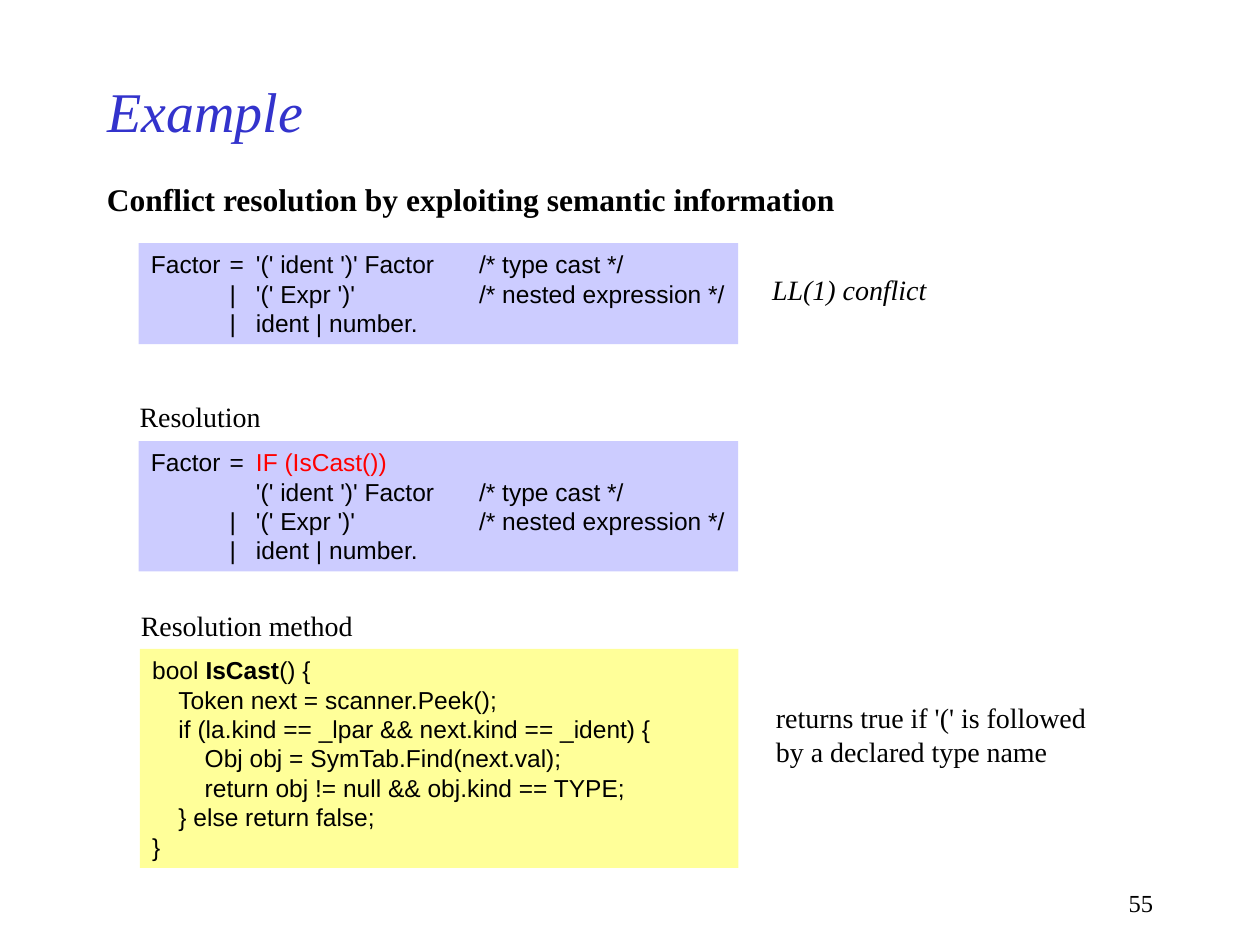
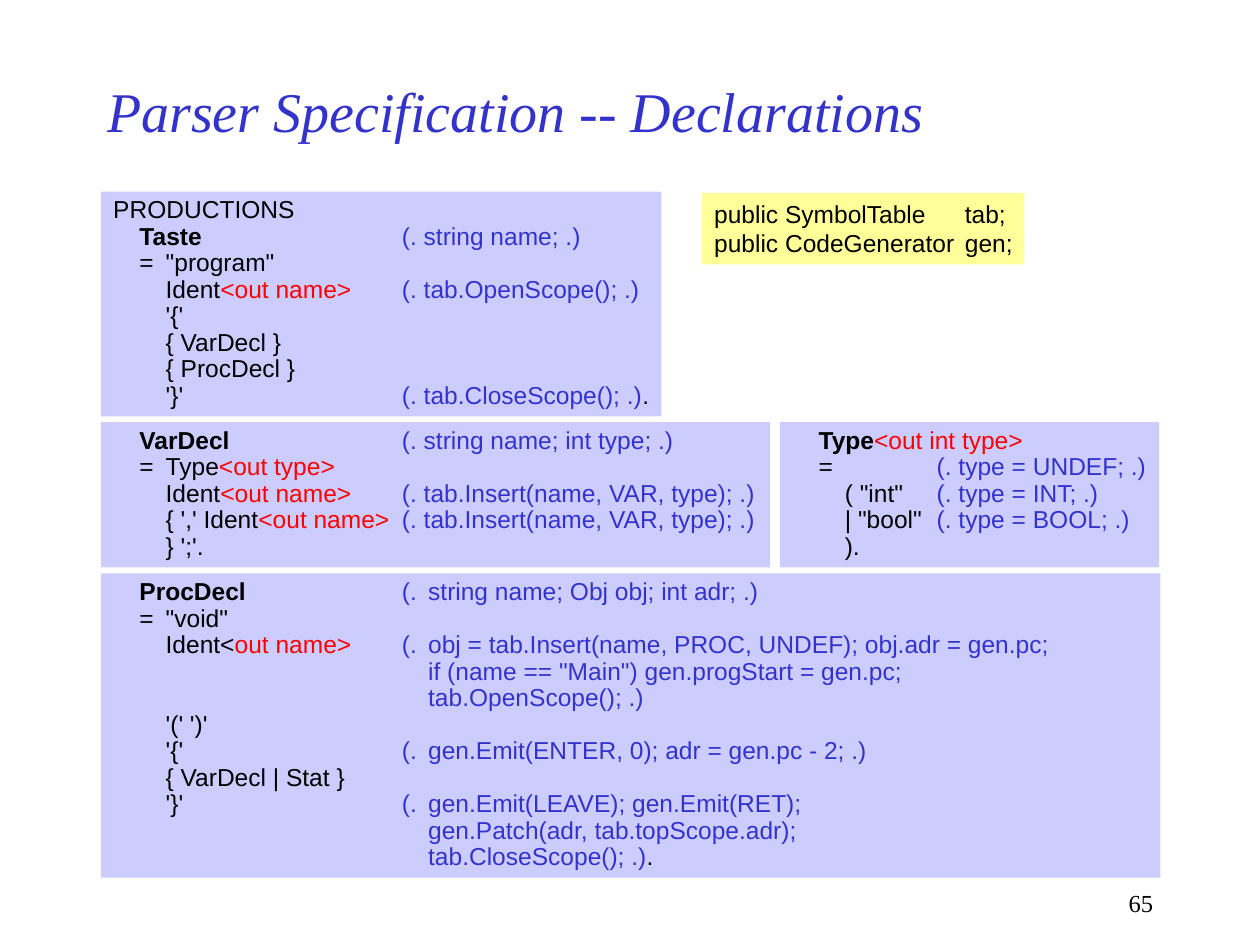
from lxml import etree
from pptx import Presentation
from pptx import util as u
from pptx.dml.color import RGBColor
from pptx.enum import shapes, text
from pptx.oxml.ns import qn

SERIF, SANS = "Times New Roman", "Arial"
BLACK, BLUE, RED = "000000", "3333CC", "FF0000"
GRAMMAR, SOURCE = "CCCCFF", "FFFF99"
COLUMNS, ROWS = 100, 75
LINE_ROWS, PADDING_ROWS = 2.34, 1
TAB_STEP = u.Pt(15)


def colour(hex_string):
    return RGBColor.from_string(hex_string)


def bold(words):
    return words, BLACK, True


def red(words):
    return words, RED, False


def blue(words):
    return words, BLUE, False


class Deck:
    def __init__(self):
        self.presentation = Presentation()
        self.presentation.slide_width = u.Inches(10)
        self.presentation.slide_height = u.Inches(7.5)
        self.slide = None

    def place(self, column, row, columns, rows):
        across = self.presentation.slide_width / COLUMNS
        down = self.presentation.slide_height / ROWS
        return [round(length) for length in
                (column * across, row * down, columns * across, rows * down)]

    def start(self, heading, number):
        layout = self.presentation.slide_layouts[5]
        self.slide = self.presentation.slides.add_slide(layout)
        title = self.slide.shapes.title
        title.left, title.top, title.width, title.height = self.place(7.5, 5, 75, 7.5)
        self.set_lines(title, [heading], SERIF, 32, ink=BLUE, italic=True)
        title.text_frame.vertical_anchor = text.MSO_ANCHOR.MIDDLE
        self.label([number], 71.7, 70, 20.8, size=14, align=text.PP_ALIGN.RIGHT)

    def set_lines(self, holder, lines, font, size, ink=BLACK, heavy=False, italic=False,
                  align=text.PP_ALIGN.LEFT, spacing=1.0, tabs=()):
        frame = holder.text_frame
        frame.word_wrap = True
        frame.auto_size = text.MSO_AUTO_SIZE.NONE
        frame.vertical_anchor = text.MSO_ANCHOR.TOP
        if align == text.PP_ALIGN.LEFT:
            frame.margin_right = 0
        for index, line in enumerate(lines):
            paragraph = frame.paragraphs[0] if index == 0 else frame.add_paragraph()
            self.set_tabs(paragraph, tabs)
            paragraph.alignment = align
            paragraph.line_spacing = spacing
            paragraph.font.name = font
            paragraph.font.size = u.Pt(size)
            paragraph.font.bold = heavy
            paragraph.font.italic = italic
            paragraph.font.color.rgb = colour(ink)
            for part in [line] if isinstance(line, str) else line:
                run = paragraph.add_run()
                if isinstance(part, str):
                    run.text = part
                else:
                    run.text, run_ink, run.font.bold = part
                    run.font.color.rgb = colour(run_ink)

    def set_tabs(self, paragraph, tabs):
        if tabs:
            stops = etree.SubElement(paragraph._p.get_or_add_pPr(), qn("a:tabLst"))
            for steps in tabs:
                etree.SubElement(stops, qn("a:tab"), pos=str(round(steps * TAB_STEP)), algn="l")

    def label(self, lines, column, row, columns, size=16, **style):
        rows = PADDING_ROWS + len(lines) * size / 6
        box = self.slide.shapes.add_textbox(*self.place(column, row, columns, rows))
        self.set_lines(box, lines, SERIF, size, **style)

    def code(self, lines, column, row, columns, fill, tabs, spacing=1.0):
        rows = PADDING_ROWS + len(lines) * LINE_ROWS * spacing
        panel = self.slide.shapes.add_shape(
            shapes.MSO_SHAPE.RECTANGLE, *self.place(column, row, columns, rows))
        panel.shadow.inherit = False
        panel.fill.solid()
        panel.fill.fore_color.rgb = colour(fill)
        panel.line.fill.background()
        self.set_lines(panel, lines, SANS, 14, spacing=spacing, tabs=tabs)

    def production(self, lines, column, row, columns, tabs):
        self.code(lines, column, row, columns, GRAMMAR, tabs, spacing=0.9)


def conflict_slide(deck):
    deck.start("Example", "55")
    deck.label(["Conflict resolution by exploiting semantic information"],
               7.5, 13.8, 62, size=18, heavy=True)

    factor_tabs = (3, 4, 12.5)
    alternatives = ["\t|\t'(' Expr ')'\t/* nested expression */",
                    "\t|\tident | number."]
    cast = "'(' ident ')' Factor\t/* type cast */"
    deck.code(["Factor\t=\t" + cast] + alternatives, 11, 19.3, 47.6, GRAMMAR, factor_tabs)
    deck.label(["LL(1) conflict"], 60.3, 21.1, 16, italic=True)

    deck.label(["Resolution"], 10.1, 31.2, 14)
    deck.code([["Factor\t=\t", red("IF (IsCast())")], "\t\t" + cast] + alternatives,
              11, 35, 47.6, GRAMMAR, factor_tabs)

    deck.label(["Resolution method"], 10.2, 47.8, 22)
    deck.code([
        ["bool ", bold("IsCast"), "() {"],
        "\tToken next = scanner.Peek();",
        "\tif (la.kind == _lpar && next.kind == _ident) {",
        "\t\tObj obj = SymTab.Find(next.val);",
        "\t\treturn obj != null && obj.kind == TYPE;",
        "\t} else return false;",
        "}",
    ], 11.1, 51.5, 47.5, SOURCE, (1, 2))
    deck.label(["returns true if '(' is followed", "by a declared type name"],
               60.6, 55.1, 30)


def declarations_slide(deck):
    deck.start("Parser Specification -- Declarations", "65")
    action_tabs = (1, 2, 11)
    insert = blue("(. tab.Insert(name, VAR, type); .)")
    deck.production([
        "PRODUCTIONS",
        ["\t", bold("Taste\t"), blue("(. string name; .)")],
        "\t=\t\"program\"",
        ["\t\tIdent", red("<out name>\t"), blue("(. tab.OpenScope(); .)")],
        "\t\t'{'",
        "\t\t{ VarDecl }",
        "\t\t{ ProcDecl }",
        ["\t\t'}'\t", blue("(. tab.CloseScope(); .)"), "."],
    ], 8, 15.2, 44.5, action_tabs)
    deck.production([
        ["\t", bold("VarDecl\t"), blue("(. string name; int type; .)")],
        ["\t=\tType", red("<out type>")],
        ["\t\tIdent", red("<out name>\t"), insert],
        ["\t\t{ ',' Ident", red("<out name>\t"), insert],
        "\t\t} ';'.",
    ], 8, 33.5, 53.1, action_tabs)
    deck.production([
        ["\t", bold("ProcDecl\t"), blue("(.\tstring name; Obj obj; int adr; .)")],
        "\t=\t\"void\"",
        ["\t\tIdent<", red("out name>\t"),
         blue("(.\tobj = tab.Insert(name, PROC, UNDEF); obj.adr = gen.pc;")],
        [blue("\t\t\t\tif (name == \"Main\") gen.progStart = gen.pc;")],
        [blue("\t\t\t\ttab.OpenScope(); .)")],
        "\t\t'(' ')'",
        ["\t\t'{'\t", blue("(.\tgen.Emit(ENTER, 0); adr = gen.pc - 2; .)")],
        "\t\t{ VarDecl | Stat }",
        ["\t\t'}'\t", blue("(.\tgen.Emit(LEAVE); gen.Emit(RET);")],
        [blue("\t\t\t\tgen.Patch(adr, tab.topScope.adr);")],
        [blue("\t\t\t\ttab.CloseScope(); .)"), "."],
    ], 8, 45.5, 84.1, action_tabs + (12,))
    deck.production([
        ["\t", bold("Type"), red("<out int type>")],
        ["\t=\t\t", blue("(. type = UNDEF; .)")],
        ["\t\t( \"int\"\t", blue("(. type = INT; .)")],
        ["\t\t| \"bool\"\t", blue("(. type = BOOL; .)")],
        "\t\t).",
    ], 61.9, 33.5, 30.1, (1, 2, 5.5))
    deck.code(["public SymbolTable\ttab;", "public CodeGenerator\tgen;"],
              55.7, 15.3, 25.6, SOURCE, (9.55,))


def main():
    deck = Deck()
    conflict_slide(deck)
    declarations_slide(deck)
    deck.presentation.save("out.pptx")


if __name__ == "__main__":
    main()
